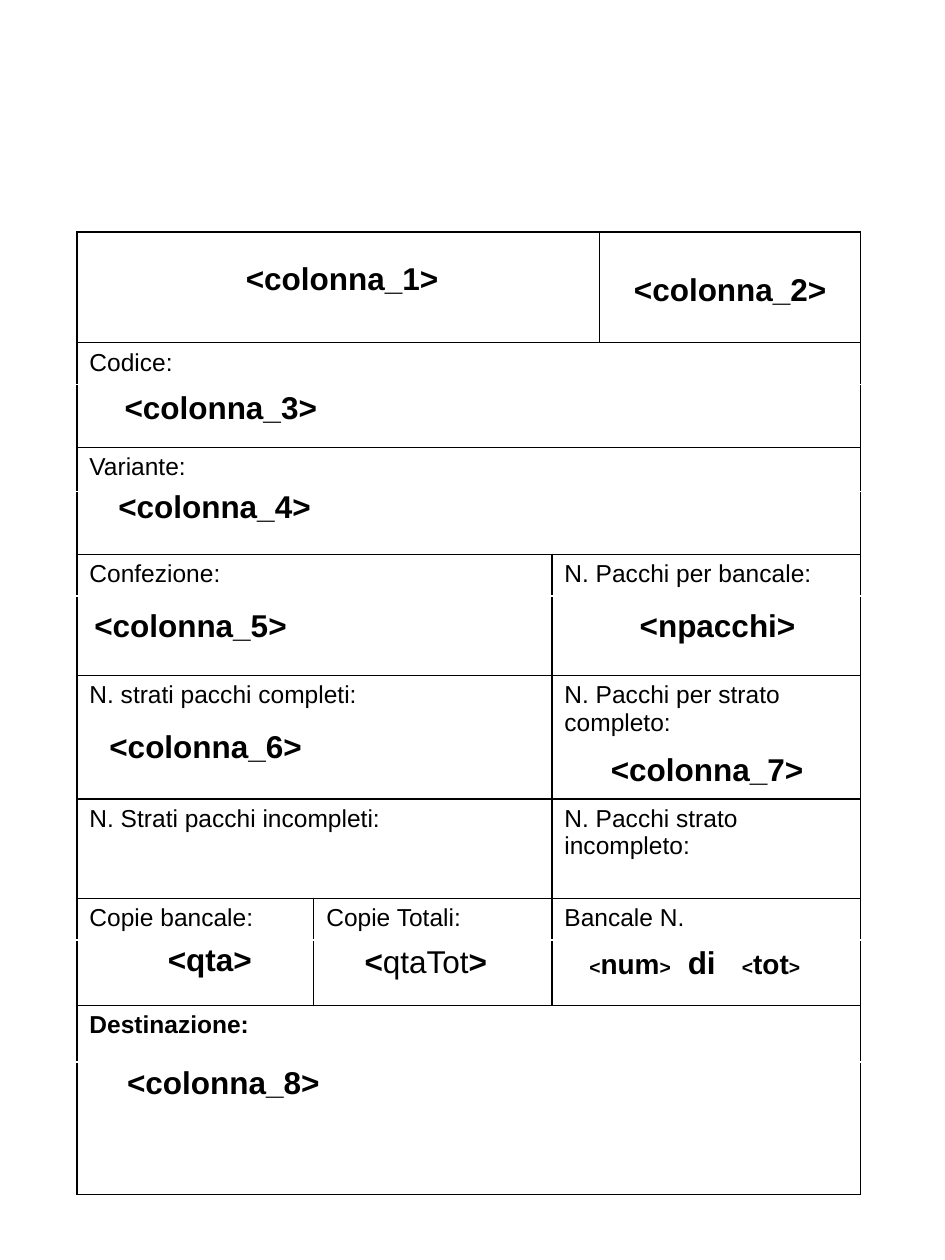
import pptx
import pptx.util
import pptx.dml.color
import pptx.enum.text
import pptx.oxml
import pptx.oxml.ns
import lxml.etree

Inches = pptx.util.Inches
Pt = pptx.util.Pt
ALIGN = pptx.enum.text.PP_ALIGN
BLACK = pptx.dml.color.RGBColor(0, 0, 0)
WHITE = pptx.dml.color.RGBColor(255, 255, 255)
FONT = "Arial"

# Form grid: row height, part of a box (full, top, bottom), (columns spanned, label)
COLS = [1.88, 1.89, 0.38, 2.07]
ROWS = [
    (0.88, "full", [(3, ""), (1, "")]),
    (0.33, "top", [(4, "Codice:")]),
    (0.5, "bottom", [(4, "")]),
    (0.35, "top", [(4, "Variante:")]),
    (0.5, "bottom", [(4, "")]),
    (0.33, "top", [(2, "Confezione:"), (2, "N. Pacchi per bancale:")]),
    (0.63, "bottom", [(2, ""), (2, "")]),
    (0.98, "full", [(2, "N. strati pacchi completi:"),
                    (2, "N. Pacchi per strato completo:")]),
    (0.79, "full", [(2, "N. Strati pacchi incompleti:"),
                    (2, "N. Pacchi strato incompleto:")]),
    (0.33, "top", [(1, "Copie bancale:"), (1, "Copie Totali:"), (2, "Bancale N.")]),
    (0.52, "bottom", [(1, ""), (1, ""), (2, "di ")]),
    (0.45, "top", [(4, "Destinazione:")]),
    (1.05, "bottom", [(4, "")]),
]
BOLD = {"di ": 18, "Destinazione:": 14}

# Fields: left, top, width, height, centred, runs of (text, size, bold)
FIELDS = [
    (0.66, 2.01, 4.11, 0.4, True, [("<colonna_1>", 18, True)]),
    (4.77, 2.09, 2.05, 0.4, True, [("<colonna_2>", 18, True)]),
    (0.89, 3.03, 2.06, 0.4, False, [("<colonna_3>", 18, True)]),
    (0.84, 3.82, 5.75, 0.4, False, [("<colonna_4>", 18, True)]),
    (0.65, 4.76, 3.93, 0.4, False, [("<colonna_5>", 18, True)]),
    (4.67, 4.76, 2.05, 0.4, True, [("<npacchi>", 18, True)]),
    (0.64, 7.41, 2.05, 0.4, True, [("<qta>", 18, True)]),
    (2.41, 7.43, 1.94, 0.4, True,
     [("<", 18, True), ("qtaTot", 18, False), (">", 18, True)]),
    (4.58, 7.46, 0.86, 0.37, False,
     [("<", 11, True), ("num", 16, True), (">", 11, True)]),
    (5.79, 7.46, 0.71, 0.37, False,
     [("<", 11, True), ("tot", 16, True), (">", 11, True)]),
    (0.91, 8.39, 5.75, 0.4, False, [("<colonna_8>", 18, True)]),
    (0.77, 5.72, 1.97, 0.4, False, [("<colonna_6>", 18, True)]),
    (4.75, 5.9, 1.97, 0.4, False, [("<colonna_7>", 18, True)]),
]


def style(run, size, bold):
    run.font.name = FONT
    run.font.size = Pt(size)
    run.font.bold = bold
    run.font.color.rgb = BLACK


def edge(cell, part):
    """Draw the four borders; the seam inside a box is white."""
    props = cell._tc.get_or_add_tcPr()
    seam = {"top": "lnB", "bottom": "lnT"}.get(part)
    for side in ("lnL", "lnR", "lnT", "lnB"):
        line = lxml.etree.SubElement(props, pptx.oxml.ns.qn("a:" + side), w=str(Pt(1)))
        fill = lxml.etree.SubElement(line, pptx.oxml.ns.qn("a:solidFill"))
        lxml.etree.SubElement(fill, pptx.oxml.ns.qn("a:srgbClr"),
                              val=str(WHITE if side == seam else BLACK))


def add_form(slide):
    high = sum(row[0] for row in ROWS)
    frame = slide.shapes.add_table(len(ROWS), len(COLS), Inches(0.61), Inches(1.84),
                                   Inches(sum(COLS)), Inches(high))
    table = frame.table
    table.first_row = table.horz_banding = False
    for col, wide in zip(table.columns, COLS):
        col.width = Inches(wide)
    for r, (tall, part, cells) in enumerate(ROWS):
        table.rows[r].height = Inches(tall)
        c = 0
        for span, label in cells:
            for k in range(c, c + span):
                edge(table.cell(r, k), part)
                table.cell(r, k).fill.solid()
                table.cell(r, k).fill.fore_color.rgb = WHITE
            cell = table.cell(r, c)
            if span > 1:
                cell.merge(table.cell(r, c + span - 1))
            if label:
                cell.text_frame.text = label
                para = cell.text_frame.paragraphs[0]
                para.alignment = ALIGN.CENTER if label == "di " else ALIGN.LEFT
                style(para.runs[0], BOLD.get(label, 14), label in BOLD)
            c += span


def add_field(slide, left, top, wide, tall, centred, runs):
    box = slide.shapes.add_textbox(Inches(left), Inches(top), Inches(wide), Inches(tall))
    frame = box.text_frame
    frame.word_wrap = True
    frame.auto_size = pptx.enum.text.MSO_AUTO_SIZE.SHAPE_TO_FIT_TEXT
    para = frame.paragraphs[0]
    para.alignment = ALIGN.CENTER if centred else ALIGN.LEFT
    for text, size, bold in runs:
        run = para.add_run()
        run.text = text
        style(run, size, bold)


def main():
    deck = pptx.Presentation()
    deck.slide_width, deck.slide_height = Inches(7.5), Inches(10)
    slide = deck.slides.add_slide(deck.slide_layouts[6])
    add_form(slide)
    for field in FIELDS:
        add_field(slide, *field)
    deck.save("out.pptx")


if __name__ == "__main__":
    main()
